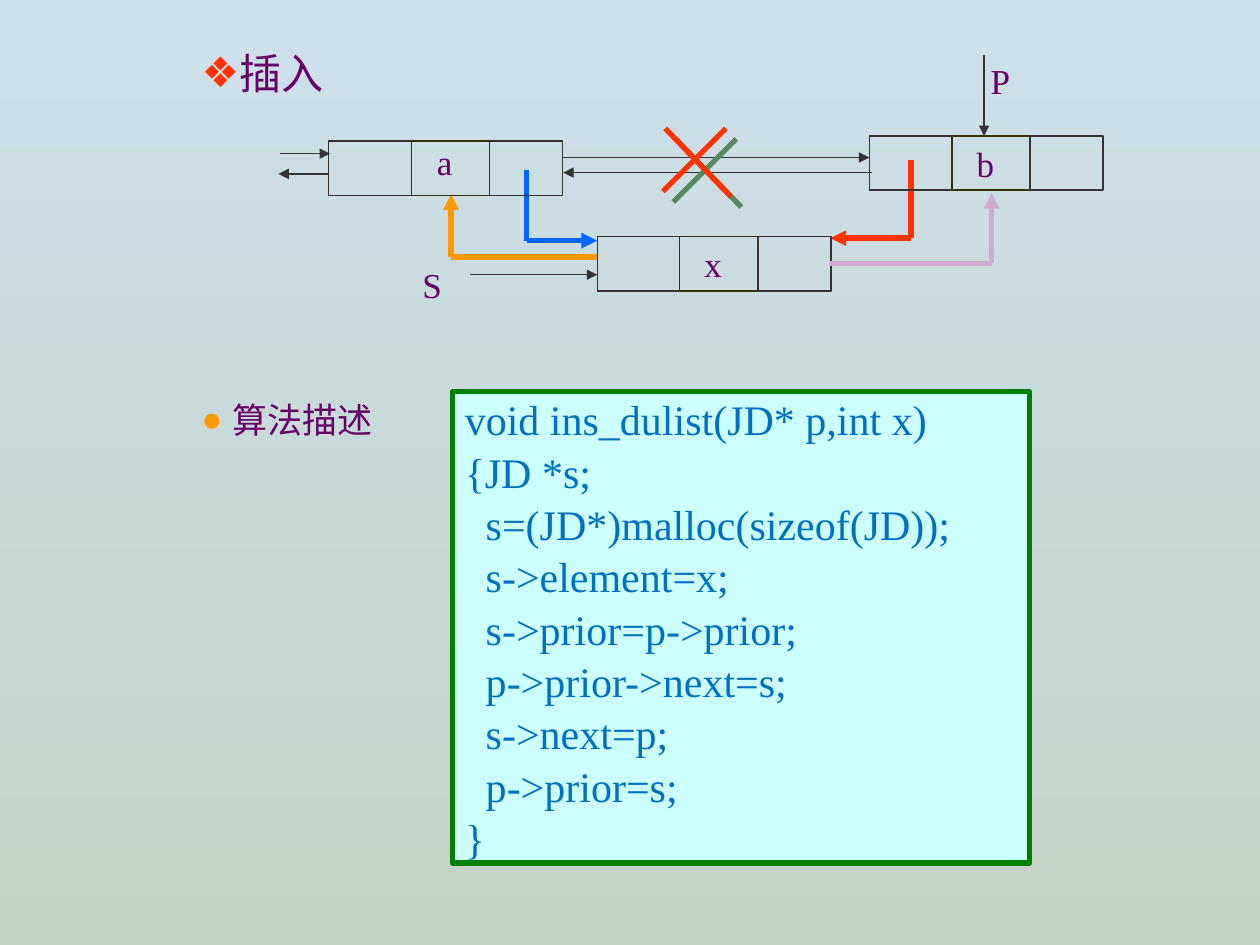
import pptx
import pptx.util
import pptx.dml.color
import pptx.enum.shapes
import pptx.enum.text
import pptx.oxml
import pptx.oxml.ns
import lxml.etree

COLUMNS, ROWS = 100, 75
CELL = pptx.util.Inches(0.1)
LATIN = "Times New Roman"
INK, PURPLE, RED, ORANGE = "333333", "660066", "FF3300", "FF9900"
NODE_WIDTHS = (6.55, 6.2, 5.8)
NODE_HEIGHT = 4.3
CODE = (
    (0, "void ins_dulist(JD* p,int x)"),
    (0, "{JD *s;"),
    (1, "s=(JD*)malloc(sizeof(JD));"),
    (1, "s->element=x;"),
    (1, "s->prior=p->prior;"),
    (1, "p->prior->next=s;"),
    (1, "s->next=p;"),
    (1, "p->prior=s;"),
    (0, "}"),
)


def color(value):
    """Turn a hex string into a colour."""
    return pptx.dml.color.RGBColor.from_string(value)


def grid(*values):
    """Turn grid units into lengths."""
    return [round(value * CELL) for value in values]


def child(parent, tag, **attributes):
    """Append a drawing element with the given attributes."""
    element = lxml.etree.SubElement(parent, pptx.oxml.ns.qn(tag))
    for name, value in attributes.items():
        element.set(name, str(value))
    return element


def add_run(paragraph, text, size, font, value):
    """Add one formatted run."""
    run = paragraph.add_run()
    run.text = text
    run.font.size = pptx.util.Pt(size)
    run.font.name = font
    run.font.color.rgb = color(value)


def add_box(slide, place, line, width, fill=None):
    """Add an outlined rectangle."""
    shape = slide.shapes.add_shape(
        pptx.enum.shapes.MSO_SHAPE.RECTANGLE, *grid(*place))
    shape.shadow.inherit = False
    shape.line.color.rgb = color(line)
    shape.line.width = pptx.util.Pt(width)
    if fill:
        shape.fill.solid()
        shape.fill.fore_color.rgb = color(fill)
    else:
        shape.fill.background()
    return shape


def add_path(slide, points, value=INK, width=0.75, arrow=True, shadow=None):
    """Join points with straight lines, the last one with an arrowhead."""
    for start, end in zip(points, points[1:]):
        connector = slide.shapes.add_connector(
            pptx.enum.shapes.MSO_CONNECTOR.STRAIGHT, *grid(*start, *end))
        connector.line.color.rgb = color(value)
        connector.line.width = pptx.util.Pt(width)
        if arrow and end == points[-1]:
            child(connector.line._get_or_add_ln(), "a:tailEnd", type="triangle")
        effects = child(connector._element.spPr, "a:effectLst")
        if shadow:
            outer = child(effects, "a:outerShdw", blurRad=0,
                          dist=pptx.util.Pt(8.5), dir=45 * 60000,
                          algn="ctr", rotWithShape=0)
            child(outer, "a:srgbClr", val=shadow)


def add_label(slide, text, left, top, width=3.6):
    """Add a centred one-letter label."""
    shape = slide.shapes.add_textbox(*grid(left, top, width, NODE_HEIGHT))
    frame = shape.text_frame
    frame.word_wrap = False
    frame.vertical_anchor = pptx.enum.text.MSO_ANCHOR.MIDDLE
    paragraph = frame.paragraphs[0]
    paragraph.alignment = pptx.enum.text.PP_ALIGN.CENTER
    add_run(paragraph, text, 20, LATIN, PURPLE)


def add_node(slide, text, left, top, lift=0):
    """Add a list node with three fields and a label in the middle one."""
    for index, width in enumerate(NODE_WIDTHS):
        offset = sum(NODE_WIDTHS[:index])
        line = "333300" if index == 1 else INK
        add_box(slide, (left + offset, top, width, NODE_HEIGHT), line, 0.75)
    add_label(slide, text, left + 7.5, top - lift, 3.4)


def fill_bullet(shape, place, text, size, bullet, value, margin):
    """Place a text shape and give it one bulleted paragraph."""
    shape.left, shape.top, shape.width, shape.height = grid(*place)
    frame = shape.text_frame
    frame.word_wrap = True
    frame.auto_size = pptx.enum.text.MSO_AUTO_SIZE.NONE
    frame.vertical_anchor = pptx.enum.text.MSO_ANCHOR.TOP
    paragraph = frame.paragraphs[0]
    paragraph.alignment = pptx.enum.text.PP_ALIGN.LEFT
    paragraph.space_before = pptx.util.Pt(size * 0.2)
    properties = paragraph._p.get_or_add_pPr()
    properties.set("marL", str(pptx.util.Inches(margin)))
    properties.set("indent", str(pptx.util.Inches(-0.25)))
    child(child(properties, "a:buClr"), "a:srgbClr", val=value)
    child(properties, "a:buFont", typeface="Arial")
    child(properties, "a:buChar", char=bullet)
    add_run(paragraph, text, size, "Arial", PURPLE)


def add_code(slide):
    """Add the framed code listing."""
    shape = add_box(slide, (35.9, 31.1, 45.8, 37.4), "008000", 3, "CCFFFF")
    frame = shape.text_frame
    frame.word_wrap = True
    frame.vertical_anchor = pptx.enum.text.MSO_ANCHOR.MIDDLE
    for index, (level, text) in enumerate(CODE):
        paragraph = frame.add_paragraph() if index else frame.paragraphs[0]
        paragraph.alignment = pptx.enum.text.PP_ALIGN.LEFT
        paragraph.line_spacing = 1.04
        properties = paragraph._p.get_or_add_pPr()
        properties.set("marL", str(pptx.util.Pt(12 * level)))
        add_run(paragraph, text, 24, LATIN, "0070C0")


def add_background(slide):
    """Fill the background with a vertical gradient."""
    fill = slide.background.fill
    fill.gradient()
    fill.gradient_angle = 270
    for stop, value in zip(fill.gradient_stops, ("CDE0EB", "C4D2C4")):
        stop.color.rgb = color(value)


def add_diagram(slide):
    """Draw the nodes of the list and the links between them."""
    add_path(slide, [(41.8, 13.5), (41.8, 19.1), (47.4, 19.1)], "0066FF", 3)
    add_path(slide, [(47.4, 20.4), (35.8, 20.4), (35.8, 15.4)], ORANGE, 3)
    add_path(slide, [(72.3, 12.7), (72.3, 18.9), (65.9, 18.9)], RED, 3)
    add_node(slide, "x", 47.4, 18.8)
    add_node(slide, "a", 26.1, 11.2, lift=0.5)
    add_node(slide, "b", 69, 10.8)
    for points in (
        [(37.3, 21.8), (47.4, 21.8)],
        [(22.2, 12.2), (26.2, 12.2)],
        [(26.1, 13.8), (22.1, 13.8)],
        [(44.7, 12.5), (69, 12.5)],
        [(69.2, 13.7), (44.7, 13.7)],
        [(78.1, 4.4), (78.1, 10.8)],
    ):
        add_path(slide, points)
    add_label(slide, "S", 32.5, 20.4)
    add_label(slide, "P", 77.6, 4.2)
    for points in ([(57.6, 10.2), (52.6, 15.2)], [(52.8, 10.2), (58, 15.6)]):
        add_path(slide, points, RED, 3, arrow=False, shadow="578963")
    add_path(slide, [(65.8, 20.9), (78.7, 20.9), (78.7, 15.3)], "D2AAD2", 3)


def main():
    """Build and save the slide."""
    presentation = pptx.Presentation()
    presentation.slide_width, presentation.slide_height = grid(COLUMNS, ROWS)
    slide = presentation.slides.add_slide(presentation.slide_layouts[5])
    add_background(slide)
    add_code(slide)
    fill_bullet(slide.shapes.title, (5, 3.3, 40, 4.8), "插入", 24,
                "❖", RED, 1.25)
    description = slide.shapes.add_textbox(0, 0, CELL, CELL)
    fill_bullet(description, (0, 31.1, 93, 4.8), "算法描述", 20,
                "●", ORANGE, 1.75)
    add_diagram(slide)
    presentation.save("out.pptx")


main()
